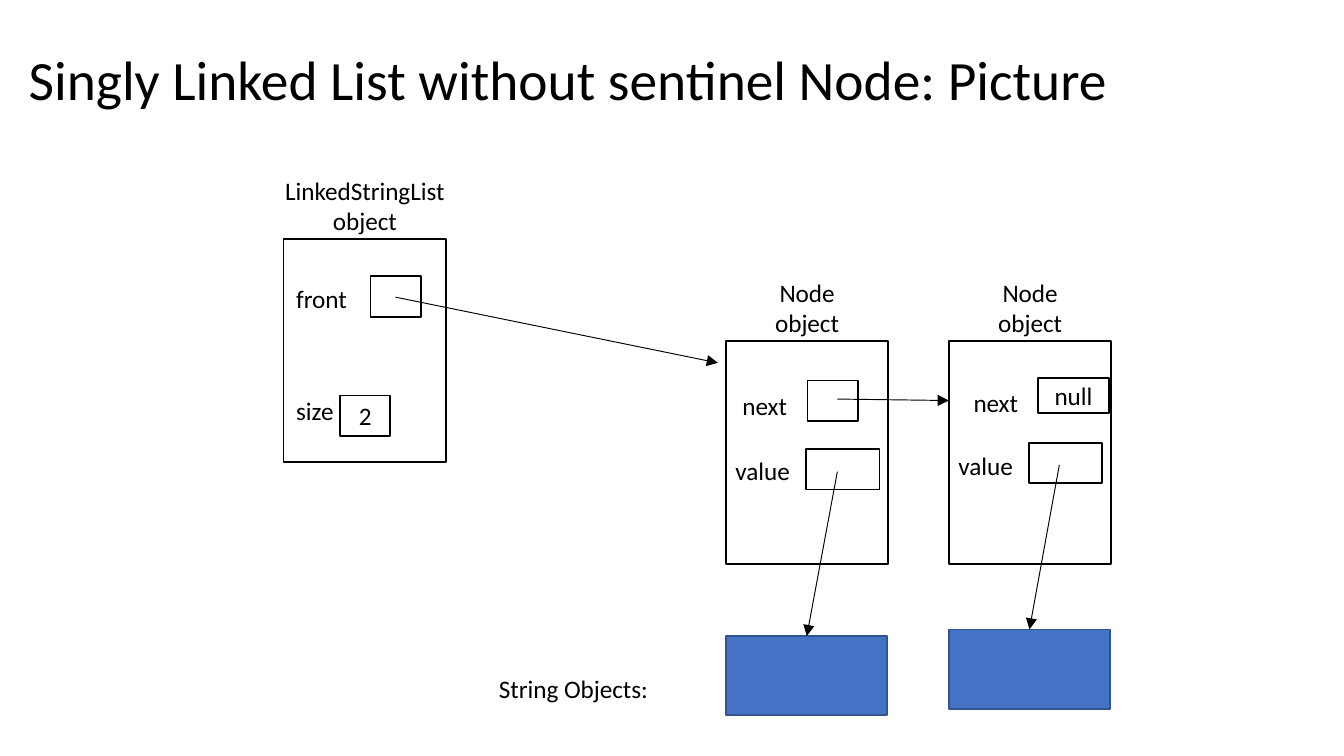
from dataclasses import dataclass

from lxml import etree
from pptx import Presentation
from pptx.dml.color import RGBColor
from pptx.enum import shapes, text
from pptx.oxml import ns
from pptx.util import Pt


@dataclass(frozen=True)
class Theme:
    font: str = "Calibri"
    ink: str = "000000"
    blue: str = "4472C4"
    edge: str = "325491"
    head: float = 29.7
    body: float = 13.5
    thick: float = 1
    thin: float = 0.5


THEME = Theme()
LEFT, MID = text.PP_ALIGN.LEFT, text.PP_ALIGN.CENTER
BOX_W, BOX_H = 87.1, 119.5      # list and node objects
CELL_H = 21.6
LABEL_H = 23.8


def write(frame, words, size=THEME.body, align=LEFT, wrap=True,
          anchor=text.MSO_ANCHOR.TOP, top=3.4, space=None):
    """Fill a text frame, one paragraph a line."""
    frame.word_wrap = wrap
    frame.vertical_anchor = anchor
    frame.margin_left = frame.margin_right = Pt(6.75)
    frame.margin_top, frame.margin_bottom = Pt(top), Pt(3.4)
    frame.text = words
    for para in frame.paragraphs:
        para.alignment = align
        para.line_spacing = space
        para.font.name = THEME.font
        para.font.size = Pt(size)
        para.font.color.rgb = RGBColor.from_string(THEME.ink)


def label(slide, words, x, y, w, h=LABEL_H, align=LEFT):
    box = slide.shapes.add_textbox(Pt(x), Pt(y), Pt(w), Pt(h))
    write(box.text_frame, words, align=align, wrap=False)
    box.text_frame.auto_size = text.MSO_AUTO_SIZE.SHAPE_TO_FIT_TEXT


def rect(slide, x, y, w, h, words="", fill=None, line=THEME.ink):
    box = slide.shapes.add_shape(shapes.MSO_SHAPE.RECTANGLE,
                                 Pt(x), Pt(y), Pt(w), Pt(h))
    box.shadow.inherit = False
    if fill:
        box.fill.solid()
        box.fill.fore_color.rgb = RGBColor.from_string(fill)
    else:
        box.fill.background()
    box.line.color.rgb = RGBColor.from_string(line)
    box.line.width = Pt(THEME.thick)
    if words:
        write(box.text_frame, words, align=MID, anchor=text.MSO_ANCHOR.MIDDLE)


def arrow(slide, x1, y1, x2, y2):
    link = slide.shapes.add_connector(shapes.MSO_CONNECTOR.STRAIGHT,
                                      Pt(x1), Pt(y1), Pt(x2), Pt(y2))
    link.line.color.rgb = RGBColor.from_string(THEME.ink)
    link.line.width = Pt(THEME.thin)
    etree.SubElement(link.line._get_or_add_ln(), ns.qn("a:tailEnd"),
                     type="triangle")
    etree.SubElement(link._element.spPr, ns.qn("a:effectLst"))


def title(slide, words):
    box = slide.shapes.title
    box.left, box.top, box.width, box.height = Pt(8.6), Pt(21.6), Pt(711.4), Pt(78.5)
    write(box.text_frame, words, size=THEME.head, top=6.6, space=0.9)


def entity(slide, name, x, y, w):
    """An object box with its two-line name centred above it."""
    rect(slide, x, y, BOX_W, BOX_H)
    label(slide, name, x + (BOX_W - w) / 2, y - 37.9, w, 40.3, align=MID)


def main():
    deck = Presentation()
    deck.slide_width, deck.slide_height = Pt(720), Pt(405)
    slide = deck.slides.add_slide(deck.slide_layouts[5])
    title(slide, "Singly Linked List without sentinel Node: Picture")

    # List object
    entity(slide, "LinkedStringList\nobject", 151.9, 128.2, 101.5)
    label(slide, "front", 151.9, 148.3, 41.8)
    label(slide, "size", 151.9, 208.5, 35.3)
    rect(slide, 198.5, 148.1, 26.9, CELL_H)
    rect(slide, 182.2, 211.9, 26.9, CELL_H, "2")

    # Node objects and the strings they hold
    first, second = 388.8, 508.3
    for x, fall in ((first, 340.8), (second, 337.2)):
        entity(slide, "Node\nobject", x, 182.9, 49.7)
        rect(slide, x, fall, 86.4, 42.5, fill=THEME.blue, line=THEME.edge)
    label(slide, "String Objects:", 260.6, 357.3, 95.8)

    # Fields of the first node
    label(slide, "next", first + 2.2, 205.5, 38.9)
    rect(slide, 432.6, 203.9, 26.9, CELL_H)
    label(slide, "value", first - 1.6, 240.7, 43.9)
    rect(slide, 432, 240.7, 39.2, CELL_H)

    # Fields of the second node
    label(slide, "next", second + 6.5, 204, 38.9)
    rect(slide, 556, 202.4, 38.2, 18.7, "null")
    label(slide, "value", second - 1.6, 237.8, 43.9)
    rect(slide, 551.3, 237.4, 39.2, CELL_H)

    # References
    arrow(slide, 211.9, 159.2, 384.6, 194.4)
    arrow(slide, 448.6, 213.8, second, 214.6)
    arrow(slide, 448.6, 252.7, 432.2, 340.8)
    arrow(slide, 567.5, 249.1, 551.5, 337.2)

    deck.save("out.pptx")


if __name__ == "__main__":
    main()
